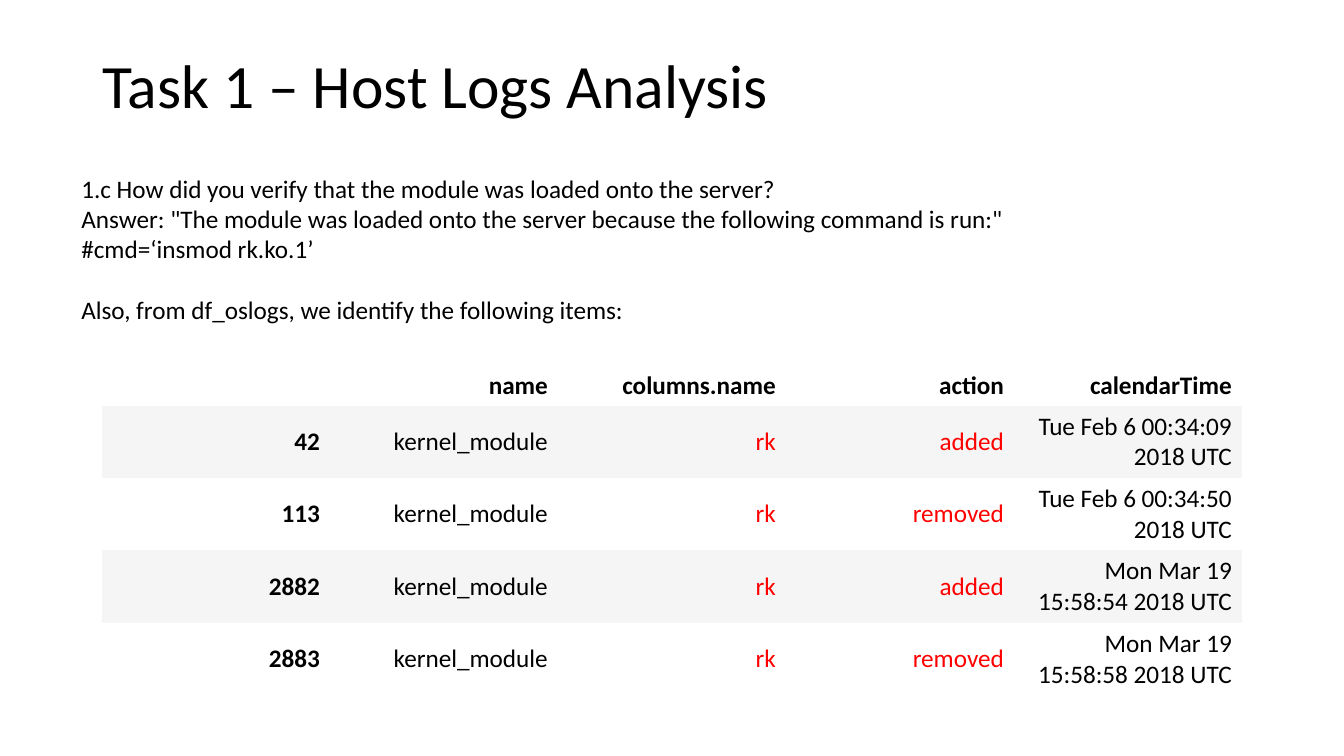
"""Build the host logs analysis slide."""
from pptx import Presentation
from pptx.dml.color import RGBColor
from pptx.enum.text import MSO_ANCHOR, MSO_AUTO_SIZE, PP_ALIGN
from pptx.util import Pt

LEFT, RIGHT = PP_ALIGN.LEFT, PP_ALIGN.RIGHT
MIDDLE = MSO_ANCHOR.MIDDLE
GROW = MSO_AUTO_SIZE.SHAPE_TO_FIT_TEXT
NO_GRID = "{2D5ABB26-0587-4C30-8999-92F81FD0307C}"
THEME = {
    "font": "Calibri", "title": 44, "body": 18,
    "ink": "000000", "alert": "FF0000", "plain": "FFFFFF", "band": "F5F5F5",
}


def write(para, text, size="body", color="ink", bold=False, align=LEFT):
    para.alignment = align
    run = para.add_run()
    run.text = text
    run.font.name = THEME["font"]
    run.font.size = Pt(THEME[size])
    run.font.bold = bold
    run.font.color.rgb = RGBColor.from_string(THEME[color])


deck = Presentation()
deck.slide_width, deck.slide_height = Pt(960), Pt(540)
slide = deck.slides.add_slide(deck.slide_layouts[5])

title = slide.shapes.title
title.left, title.top, title.width, title.height = Pt(66), Pt(28.8), Pt(828), Pt(68.4)
title.text_frame.vertical_anchor = MIDDLE
head = title.text_frame.paragraphs[0]
head.line_spacing = 0.9
write(head, "Task 1 – Host Logs Analysis", size="title")

answer = slide.shapes.add_textbox(Pt(51), Pt(120.2), Pt(701.3), Pt(160)).text_frame
answer.word_wrap = True
answer.auto_size = GROW
lines = [
    "1.c How did you verify that the module was loaded onto the server?",
    'Answer: "The module was loaded onto the server because the following command is run:"',
    "#cmd=‘insmod rk.ko.1’",
    "Also, from df_oslogs, we identify the following items: ",
]
for n, line in enumerate(lines):
    para = answer.paragraphs[0] if n == 0 else answer.add_paragraph()
    write(para, line)
para.space_before = Pt(21.6)

logs = [
    ("", "name", "columns.name", "action", "calendarTime"),
    ("42", "kernel_module", "rk", "added", "Tue Feb 6 00:34:09 2018 UTC"),
    ("113", "kernel_module", "rk", "removed", "Tue Feb 6 00:34:50 2018 UTC"),
    ("2882", "kernel_module", "rk", "added", "Mon Mar 19 15:58:54 2018 UTC"),
    ("2883", "kernel_module", "rk", "removed", "Mon Mar 19 15:58:58 2018 UTC"),
]
frame = slide.shapes.add_table(5, 5, Pt(72.8), Pt(261), Pt(814.5), Pt(235.6))
frame.element.xpath(".//a:tableStyleId")[0].text = NO_GRID
table = frame.table
table.first_row = table.horz_banding = False
for col in table.columns:
    col.width = Pt(162.9)
for r, row in enumerate(logs):
    table.rows[r].height = Pt(51.7 if r else 28.8)
    for c, text in enumerate(row):
        cell = table.cell(r, c)
        cell.fill.solid()
        cell.fill.fore_color.rgb = RGBColor.from_string(THEME["band" if r % 2 else "plain"])
        cell.vertical_anchor = MIDDLE
        if text:
            color = "alert" if r and c in (2, 3) else "ink"
            write(cell.text_frame.paragraphs[0], text, color=color,
                  bold=r == 0 or c == 0, align=RIGHT)

deck.save("out.pptx")
